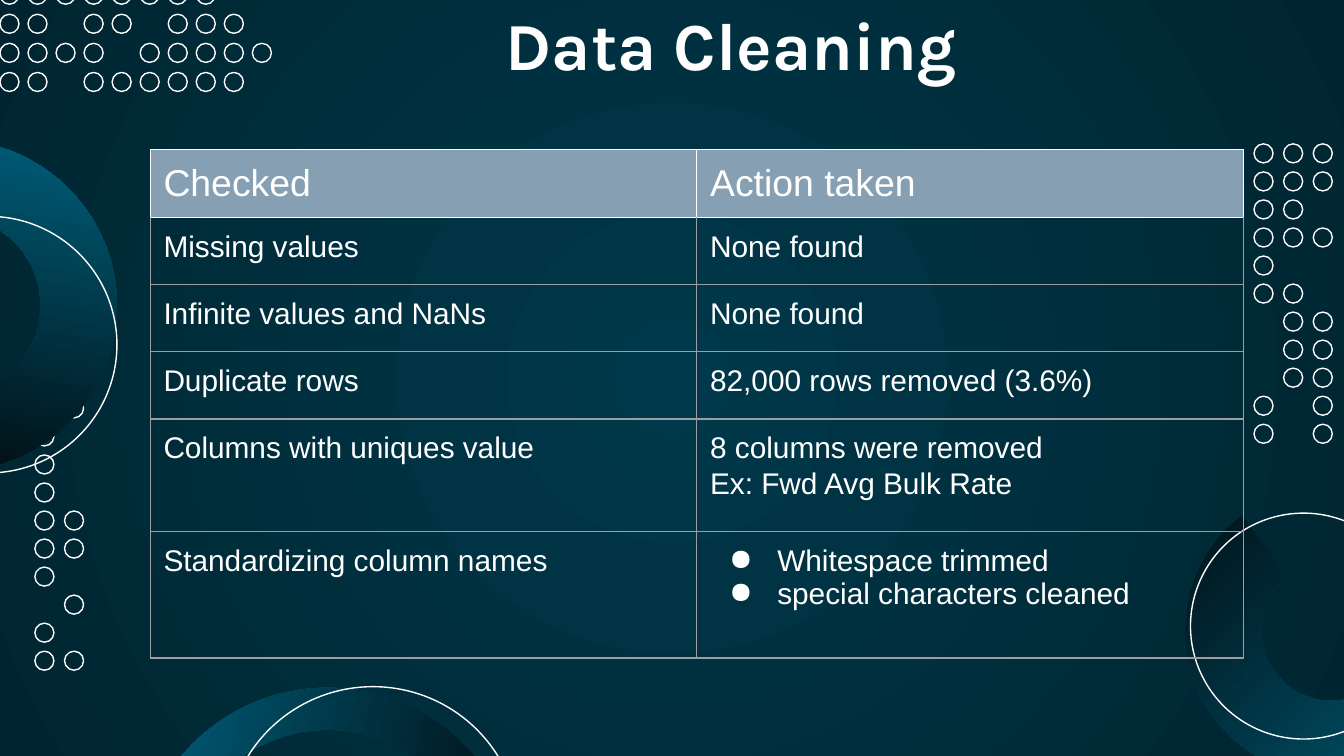
from dataclasses import dataclass

from lxml.etree import SubElement
from pptx import Presentation
from pptx.dml.color import RGBColor
from pptx.enum.shapes import MSO_SHAPE as Preset
from pptx.enum.text import MSO_ANCHOR as Anchor, PP_ALIGN as Align
from pptx.oxml import parse_xml
from pptx.oxml.ns import nsdecls, qn
from pptx.util import Cm, Pt


@dataclass(frozen=True)
class Theme:
    white: str = "FFFFFF"
    grid: str = "9E9E9E"
    header: str = "869FB2"
    glow: tuple = ("00394B", "002530")
    arc: tuple = ("006685", "010101")
    title_font: str = "Karla"
    body_font: str = "Arial"
    title_size: int = 36
    header_size: int = 20
    body_size: int = 16
    line_width: float = 0.75


THEME = Theme()
INSET = Cm(0.25)
DOT_SIZE, DOT_STEP = 0.36, 0.53

# Dot patterns: "o" is a dot, "." a gap
LEFT_DOTS = "oo .o oo o. o. o. oo oo o. .o o. oo".split()
RIGHT_DOTS = "ooo ooo oo. ooo o.. oo. .oo .oo .oo o.o o.o".split()
TOP_DOTS = "oooooooo.. oo.oo.ooo. oooo.ooooo oo.oooooo.".split()

# Each cell is a list of paragraphs: (text, format)
ROWS = [
    (1.27, [("Checked", {})], [("Action taken", {})]),
    (1.27, [("Missing values", {})], [("None found", {})]),
    (1.27, [("Infinite values and NaNs", {})], [("None found", {})]),
    (1.27, [("Duplicate rows", {})], [("82,000 rows removed (3.6%)", {})]),
    (2.13, [("Columns with uniques value", {})],
     [("8 columns were removed", {"before": 1.5}),
      ("Ex: Fwd Avg Bulk Rate", {"before": 1.5, "after": 1.5})]),
    (2.39, [("Standardizing column names", {})],
     [("Whitespace trimmed", {"before": 1.5, "bullet": "●"}),
      ("special characters cleaned", {"bullet": "●"})]),
]
COLUMN_WIDTH = 10.33


def rgb(value):
    return RGBColor.from_string(value)


def write_text(paragraph, text, *, size=THEME.body_size, font=THEME.body_font,
               bold=False, align=Align.LEFT, before=0, after=0, bullet=None):
    run = paragraph.add_run()
    run.text = text
    run.font.name, run.font.size, run.font.bold = font, Pt(size), bold
    run.font.color.rgb = rgb(THEME.white)
    paragraph.alignment = align
    paragraph.space_before, paragraph.space_after = Pt(before), Pt(after)
    if bullet:
        properties = paragraph._p.get_or_add_pPr()
        properties.set("marL", str(Cm(1.27)))
        properties.set("indent", str(-Cm(0.91)))
        color = SubElement(properties, qn("a:buClr"))
        SubElement(color, qn("a:srgbClr")).set("val", THEME.white)
        SubElement(properties, qn("a:buChar")).set("char", bullet)


def set_gradient(fill, colors):
    fill.gradient()
    for stop, color in zip(fill.gradient_stops, colors):
        stop.color.rgb = rgb(color)


def set_background(slide):
    set_gradient(slide.background.fill, THEME.glow)
    # Radial gradients need XML
    linear = next(slide.element.iter(qn("a:lin")))
    linear.getparent().replace(linear, parse_xml(
        f'<a:path {nsdecls("a")} path="circle">'
        '<a:fillToRect l="50000" t="50000" r="50000" b="50000"/></a:path>'))


def add_ring(slide, left, top, size):
    ring = slide.shapes.add_shape(
        Preset.OVAL, Cm(left), Cm(top), Cm(size), Cm(size))
    ring.shadow.inherit = False
    ring.fill.background()
    ring.line.color.rgb = rgb(THEME.white)
    ring.line.width = Pt(THEME.line_width)


def add_dots(slide, pattern, left, top, step_x, step_y):
    for row, marks in enumerate(pattern):
        for column, mark in enumerate(marks):
            if mark == "o":
                add_ring(slide, left + column * step_x, top + row * step_y, DOT_SIZE)


def add_arc(slide, left, top, size, rotation, start, thickness):
    arc = slide.shapes.add_shape(
        Preset.BLOCK_ARC, Cm(left), Cm(top), Cm(size), Cm(size))
    arc.shadow.inherit = False
    arc.rotation = rotation
    # Angles in degrees; an adjustment of 0.6 is one degree
    end = 95
    for index, value in enumerate((start * 0.6, end * 0.6, thickness)):
        arc.adjustments[index] = value
    set_gradient(arc.fill, THEME.arc)
    arc.fill.gradient_angle = 270
    arc.line.fill.background()


def add_title(slide, text):
    title = slide.shapes.title
    title.left, title.top, title.width, title.height = (
        Cm(8.23), Cm(-0.2), Cm(11.18), Cm(2.06))
    frame = title.text_frame
    frame.word_wrap = True
    frame.vertical_anchor = Anchor.MIDDLE
    frame.margin_left = frame.margin_right = INSET
    frame.margin_top = frame.margin_bottom = INSET
    write_text(frame.paragraphs[0], text, size=THEME.title_size,
               font=THEME.title_font, bold=True, align=Align.CENTER)


def set_borders(cell, color, top_color):
    properties = cell._tc.get_or_add_tcPr()
    for index, side in enumerate("LRTB"):
        line_color = top_color if side == "T" else color
        properties.insert(index, parse_xml(
            f'<a:ln{side} {nsdecls("a")} w="{Pt(THEME.line_width)}"><a:solidFill>'
            f'<a:srgbClr val="{line_color}"/></a:solidFill></a:ln{side}>'))


def fill_cell(cell, paragraphs, row):
    is_header = row == 0
    cell.margin_left = cell.margin_right = INSET
    cell.margin_top = cell.margin_bottom = INSET
    if is_header:
        cell.fill.solid()
        cell.fill.fore_color.rgb = rgb(THEME.header)
    else:
        cell.fill.background()
    set_borders(cell, THEME.white if is_header else THEME.grid,
                THEME.white if row < 2 else THEME.grid)
    frame = cell.text_frame
    size = THEME.header_size if is_header else THEME.body_size
    for index, (text, text_format) in enumerate(paragraphs):
        paragraph = frame.add_paragraph() if index else frame.paragraphs[0]
        write_text(paragraph, text, size=size, **text_format)


def add_checks_table(slide):
    height = sum(row[0] for row in ROWS)
    table = slide.shapes.add_table(
        len(ROWS), 2, Cm(2.84), Cm(2.82), Cm(2 * COLUMN_WIDTH), Cm(height)).table
    table.first_row = table.horz_banding = False
    for column in table.columns:
        column.width = Cm(COLUMN_WIDTH)
    for row, (row_height, *cells) in enumerate(ROWS):
        table.rows[row].height = Cm(row_height)
        for column, paragraphs in enumerate(cells):
            fill_cell(table.cell(row, column), paragraphs, row)


def main():
    presentation = Presentation()
    presentation.slide_width, presentation.slide_height = Cm(25.4), Cm(14.29)
    slide = presentation.slides.add_slide(presentation.slide_layouts[5])
    set_background(slide)

    # Decoration, from back to front
    add_dots(slide, LEFT_DOTS, 0.66, 6.48, 0.56, DOT_STEP)
    add_arc(slide, 22.4, 9.17, 5.51, 137.1, 258.49, 0.26)
    add_ring(slide, 22.5, 9.7, 4.27)
    add_arc(slide, -4.06, 2.64, 6.27, 10.9, 254.91, 0.23)
    add_ring(slide, -2.64, 4.09, 4.85)
    add_dots(slide, RIGHT_DOTS, 23.7, 2.72, 0.56, DOT_STEP)
    add_dots(slide, TOP_DOTS, 0, -0.28, DOT_STEP, 0.55)
    add_arc(slide, 2.59, 13, 7.21, 280.9, 260.88, 0.11)
    add_ring(slide, 4.27, 12.98, 5.56)

    # Content
    add_title(slide, "Data Cleaning")
    add_checks_table(slide)
    presentation.save("out.pptx")


if __name__ == "__main__":
    main()
